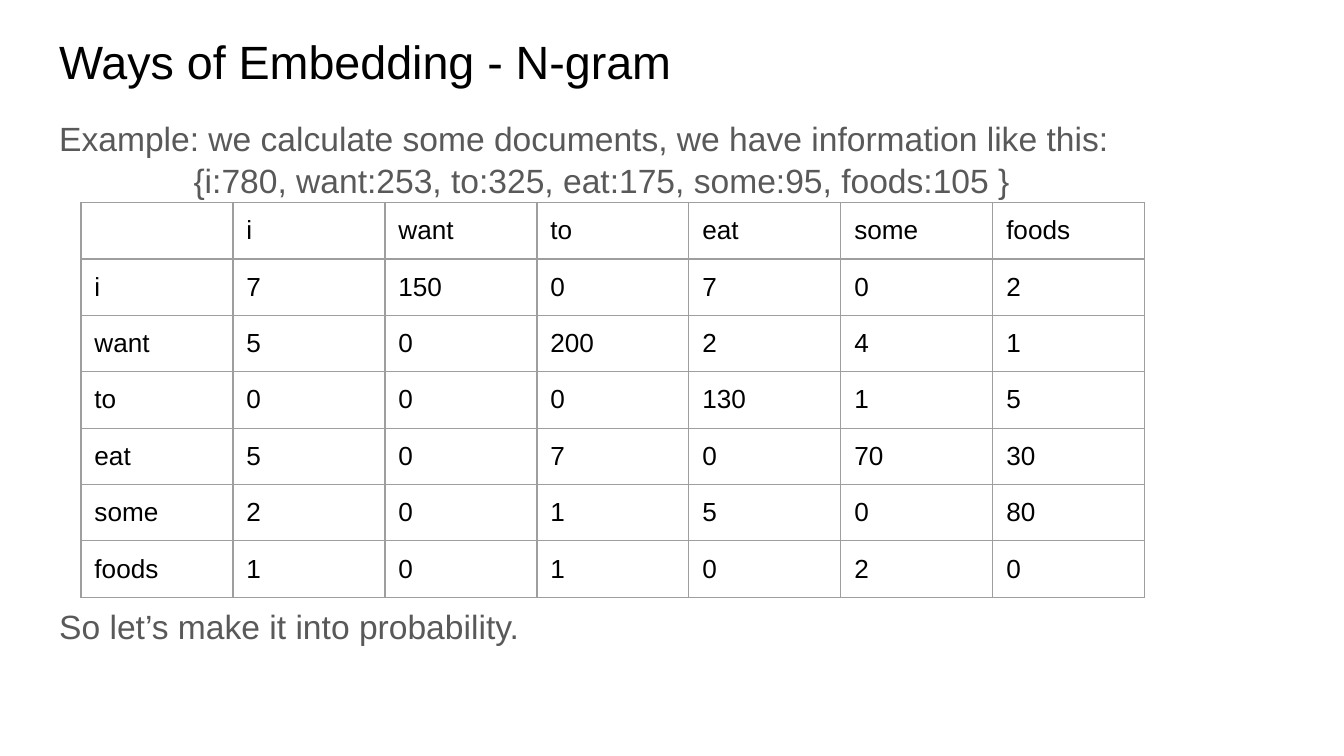
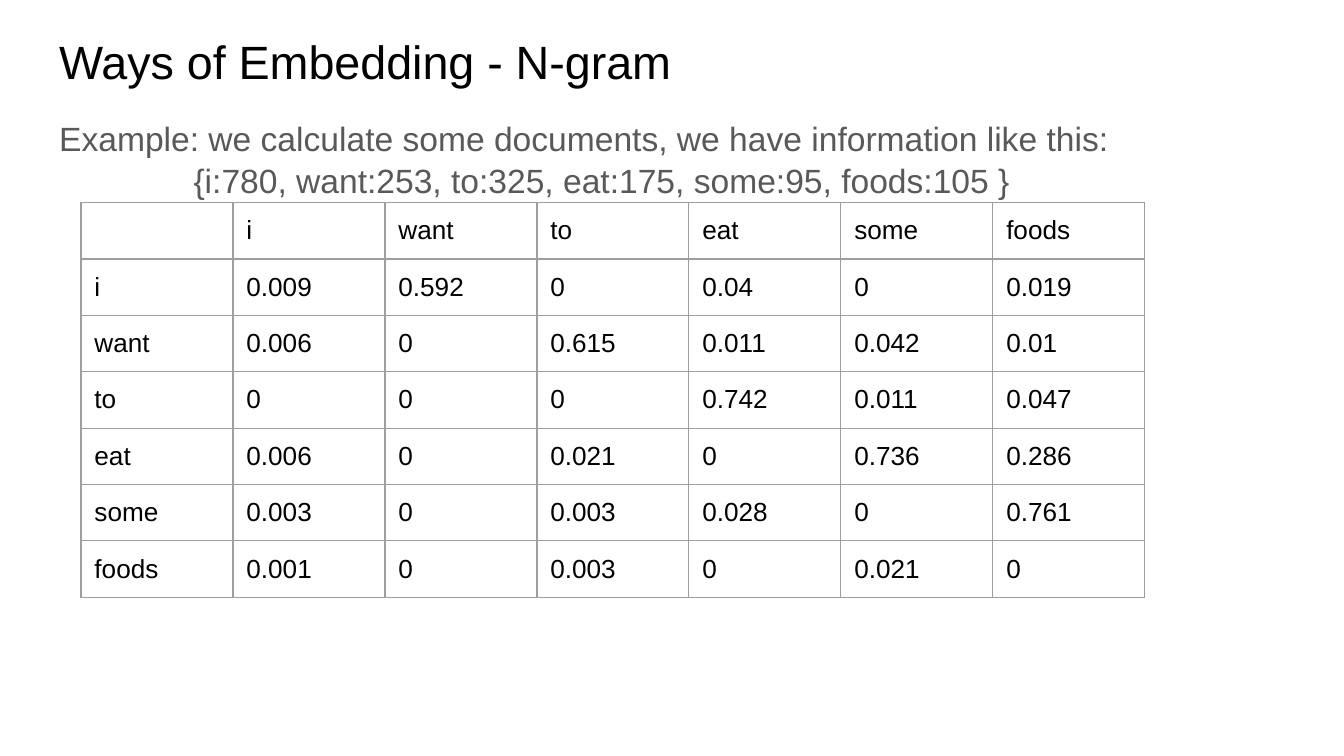
"""Build two slides on N-gram embedding: word pair counts, then probabilities."""
import pptx
import pptx.dml.color
import pptx.enum.text
import pptx.oxml
import pptx.oxml.ns
import pptx.util

Pt = pptx.util.Pt
COLORS = {"background": "FFFFFF", "title": "000000", "body": "595959",
          "cell": "000000", "border": "9E9E9E"}
FONT = "Arial"
INSET = 7.2
WORDS = ["i", "want", "to", "eat", "some", "foods"]
INTRODUCTION = [
    ("Example: we calculate some documents, we have information like this:", 0, 0),
    ("{i:780, want:253, to:325, eat:175, some:95, foods:105 }", 72, 0),
]
CLOSING = [("So let’s make it into probability.", 0, 216)]
COUNTS = [
    ["7", "150", "0", "7", "0", "2"],
    ["5", "0", "200", "2", "4", "1"],
    ["0", "0", "0", "130", "1", "5"],
    ["5", "0", "7", "0", "70", "30"],
    ["2", "0", "1", "5", "0", "80"],
    ["1", "0", "1", "0", "2", "0"],
]
PROBABILITIES = [
    ["0.009", "0.592", "0", "0.04", "0", "0.019"],
    ["0.006", "0", "0.615", "0.011", "0.042", "0.01"],
    ["0", "0", "0", "0.742", "0.011", "0.047"],
    ["0.006", "0", "0.021", "0", "0.736", "0.286"],
    ["0.003", "0", "0.003", "0.028", "0", "0.761"],
    ["0.001", "0", "0.003", "0", "0.021", "0"],
]


def add_run(paragraph, text, size, color):
    paragraph.alignment = pptx.enum.text.PP_ALIGN.LEFT
    run = paragraph.add_run()
    run.text = text
    run.font.name = FONT
    run.font.size = Pt(size)
    run.font.color.rgb = pptx.dml.color.RGBColor.from_string(COLORS[color])


def prepare_placeholder(shape, top, height, anchor):
    shape.left, shape.top, shape.width, shape.height = Pt(24.5), Pt(top), Pt(671), Pt(height)
    frame = shape.text_frame
    frame.word_wrap = True
    frame.auto_size = pptx.enum.text.MSO_AUTO_SIZE.NONE
    frame.vertical_anchor = anchor
    frame.margin_left = frame.margin_right = Pt(INSET)
    frame.margin_top = frame.margin_bottom = Pt(INSET)
    return frame


presentation = pptx.Presentation()
presentation.slide_width = Pt(720)
presentation.slide_height = Pt(405)
background = presentation.slide_master.background.fill
background.solid()
background.fore_color.rgb = pptx.dml.color.RGBColor.from_string(COLORS["background"])

for values, lines in [(COUNTS, INTRODUCTION + CLOSING), (PROBABILITIES, INTRODUCTION)]:
    slide = presentation.slides.add_slide(presentation.slide_layouts[0])

    title = prepare_placeholder(slide.shapes.title, 8, 46.8, pptx.enum.text.MSO_ANCHOR.BOTTOM)
    add_run(title.paragraphs[0], "Ways of Embedding - N-gram", 25, "title")

    body = prepare_placeholder(slide.placeholders[1], 54.8, 345.6, pptx.enum.text.MSO_ANCHOR.TOP)
    for index, (text, indent, space) in enumerate(lines):
        paragraph = body.add_paragraph() if index else body.paragraphs[0]
        paragraph.line_spacing = 1.05
        paragraph.space_before = Pt(space)
        properties = paragraph._p.get_or_add_pPr()
        properties.set("marL", str(Pt(indent)))
        properties.set("indent", "0")
        add_run(paragraph, text, 18, "body")

    rows = [[""] + WORDS] + [[word] + row for word, row in zip(WORDS, values)]
    table = slide.shapes.add_table(7, 7, Pt(43.4), Pt(108.6), Pt(570), Pt(211.4)).table
    table.first_row = False
    table.horz_banding = False
    for column in table.columns:
        column.width = Pt(81.43)
    for table_row, texts in zip(table.rows, rows):
        table_row.height = Pt(30.2)
        for cell, text in zip(table_row.cells, texts):
            cell_properties = cell._tc.get_or_add_tcPr()
            for side in ["lnL", "lnR", "lnT", "lnB"]:
                cell_properties.append(pptx.oxml.parse_xml(
                    f'<a:{side} {pptx.oxml.ns.nsdecls("a")} w="{Pt(0.75)}"><a:solidFill>'
                    f'<a:srgbClr val="{COLORS["border"]}"/></a:solidFill></a:{side}>'))
            cell.fill.background()
            if text:
                cell.margin_left = cell.margin_right = Pt(INSET)
                cell.margin_top = cell.margin_bottom = Pt(INSET)
                add_run(cell.text_frame.paragraphs[0], text, 14, "cell")

presentation.save("out.pptx")
